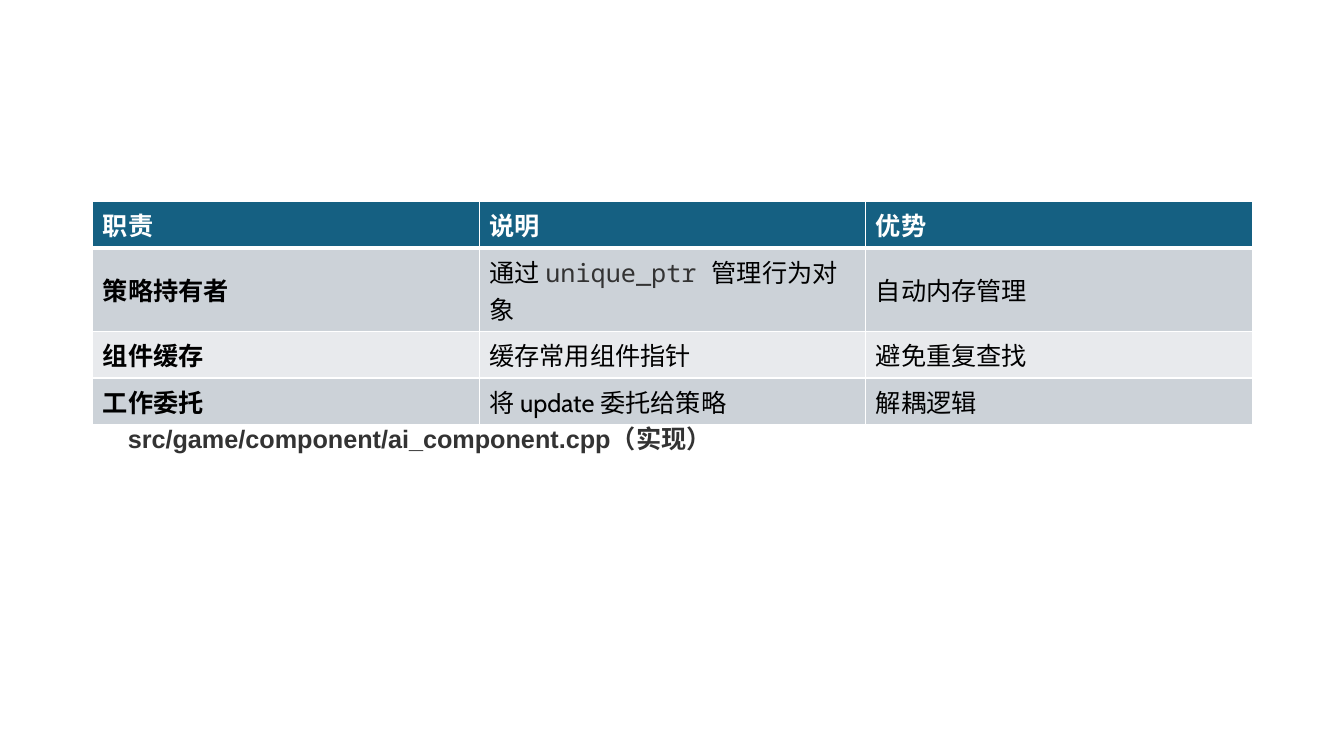
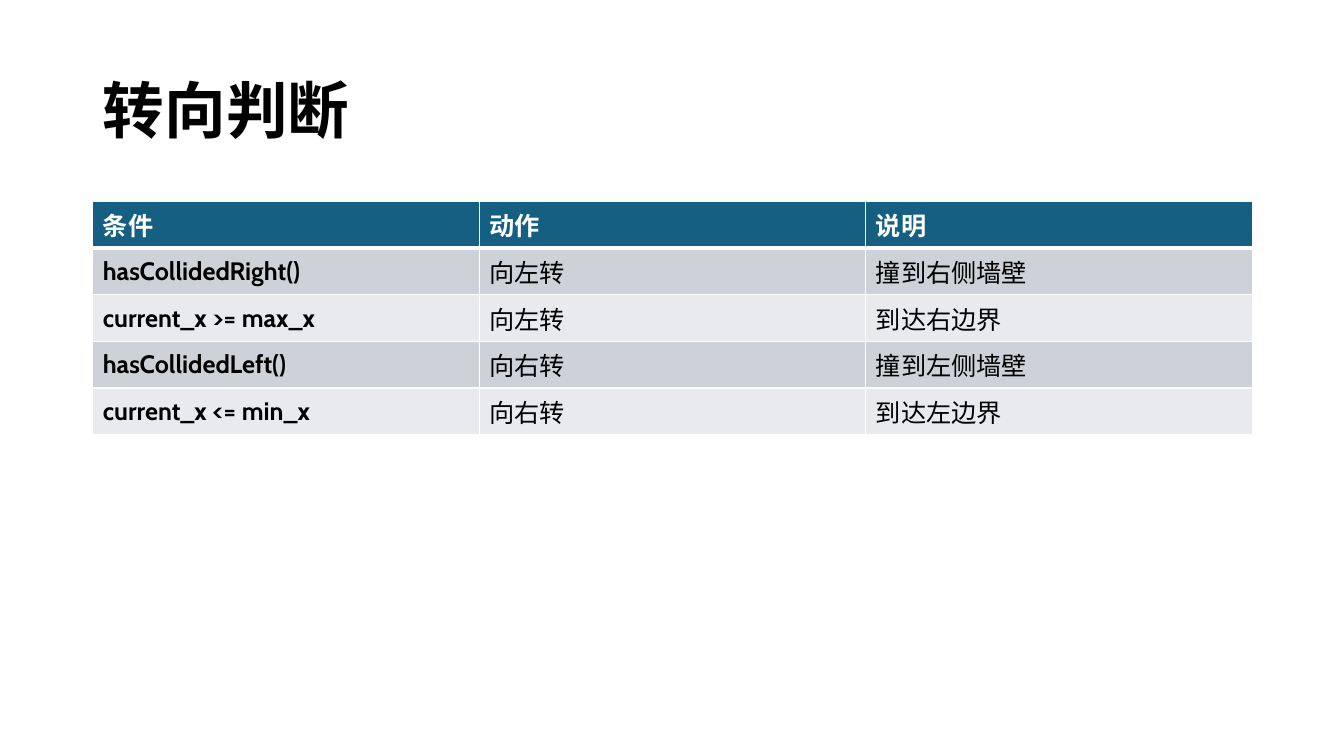
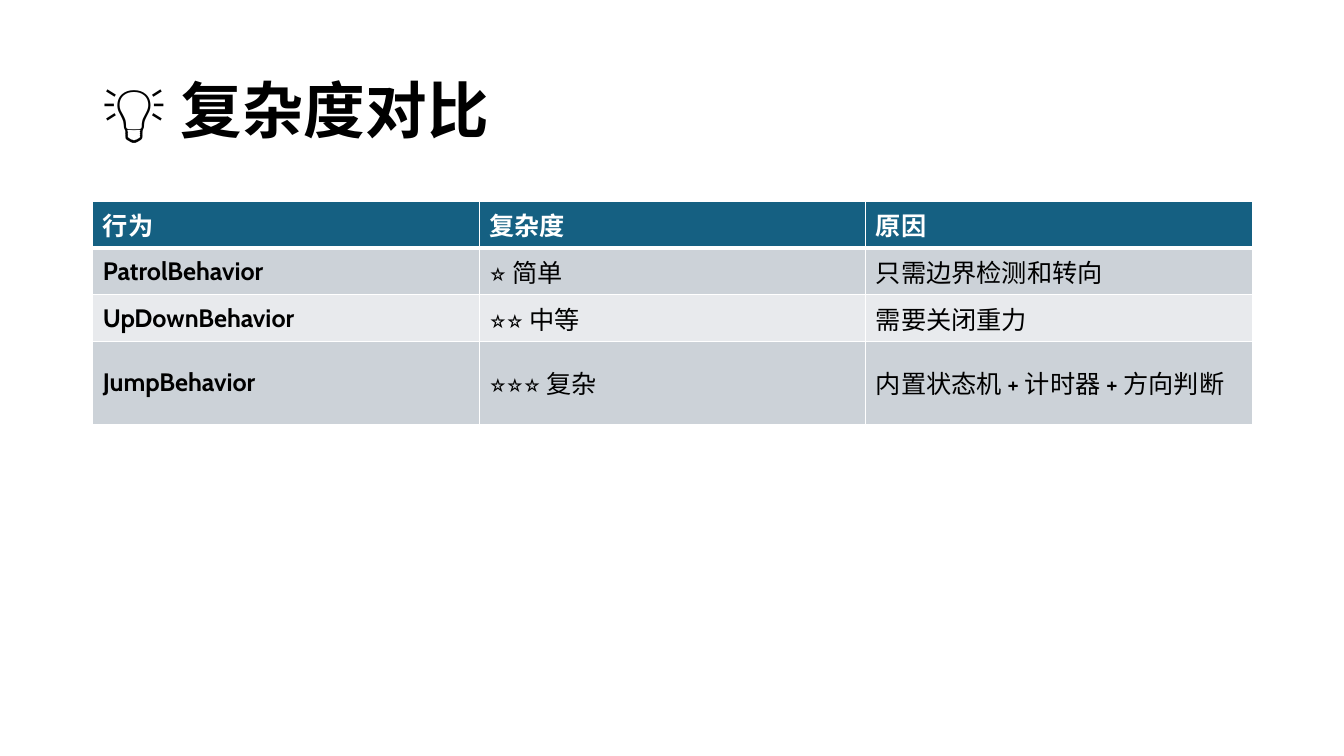
import pptx
import pptx.dml.color
import pptx.enum.lang
import pptx.enum.text
import pptx.oxml
import pptx.oxml.ns
import pptx.util

COLORS = {
    "header": "156082",
    "band_dark": "CCD2D8",
    "band_light": "E8EAED",
    "white": "FFFFFF",
    "black": "000000",
    "code": "333333",
}
FONT, MONO, NOTE_FONT = "Cabin", "Noto Sans Mono", "Arial"
TITLE_ONLY, BLANK = 5, 6
MARGIN = 0.92
COLUMN = 11.5 / 12
ROW = 0.4
TABLE_ROW = 0.41


def rgb(name):
    return pptx.dml.color.RGBColor.from_string(COLORS[name])


class Deck:
    """Holds the presentation, its style and the current page."""

    def __init__(self):
        self.file = pptx.Presentation()
        self.file.slide_width = pptx.util.Inches(13.33)
        self.file.slide_height = pptx.util.Inches(7.5)
        self.page = None

    def place(self, column, row, columns, rows):
        """Turn grid units into left, top, width and height."""
        lengths = (MARGIN + column * COLUMN, row * ROW, columns * COLUMN, rows * ROW)
        return [pptx.util.Inches(length) for length in lengths]

    def add_page(self, title=None):
        layout = self.file.slide_layouts[TITLE_ONLY if title else BLANK]
        self.page = self.file.slides.add_slide(layout)
        if title:
            box = self.page.shapes.title
            box.left, box.top, box.width, box.height = self.place(0, 1, 12, 3.62)
            frame = box.text_frame
            frame.auto_size = pptx.enum.text.MSO_AUTO_SIZE.NONE
            frame.vertical_anchor = pptx.enum.text.MSO_ANCHOR.MIDDLE
            para = frame.paragraphs[0]
            para.line_spacing = 0.9
            self.add_span(para, title, size=44, bold=True)

    def add_span(self, para, text, size=18, color="black", bold=False, font=FONT):
        para.alignment = pptx.enum.text.PP_ALIGN.LEFT
        span = para.add_run()
        span.text = text
        span.font.name = font
        span.font.size = pptx.util.Pt(size)
        span.font.bold = bold
        span.font.color.rgb = rgb(color)
        span.font.language_id = pptx.enum.lang.MSO_LANGUAGE_ID.SIMPLIFIED_CHINESE

    def add_borders(self, cell, top, bottom):
        """Draw white borders; top and bottom widths are in points."""
        properties = cell._tc.get_or_add_tcPr()
        for side, width in (("L", 1), ("R", 1), ("T", top), ("B", bottom)):
            properties.append(pptx.oxml.parse_xml(
                f'<a:ln{side} {pptx.oxml.ns.nsdecls("a")} w="{pptx.util.Pt(width)}">'
                f'<a:solidFill><a:srgbClr val="{COLORS["white"]}"/></a:solidFill>'
                f'</a:ln{side}>'))

    def add_table(self, rows):
        """Add a banded table; a cell is a text or a list of (text, style) spans."""
        area = self.place(0, 5, 12, len(rows) * TABLE_ROW / ROW)
        table = self.page.shapes.add_table(len(rows), len(rows[0]), *area).table
        for row_index, row in enumerate(rows):
            header = row_index == 0
            band = "band_dark" if row_index % 2 else "band_light"
            for column_index, content in enumerate(row):
                cell = table.cell(row_index, column_index)
                self.add_borders(cell, 3 if row_index == 1 else 1, 3 if header else 1)
                cell.fill.solid()
                cell.fill.fore_color.rgb = rgb("header" if header else band)
                cell.vertical_anchor = pptx.enum.text.MSO_ANCHOR.MIDDLE
                base = {"color": "white" if header else "black",
                        "bold": header or column_index == 0}
                spans = [(content, {})] if isinstance(content, str) else content
                for text, style in spans:
                    self.add_span(cell.text_frame.paragraphs[0], text, **{**base, **style})

    def add_note(self, text, area):
        box = self.page.shapes.add_textbox(*self.place(*area))
        box.text_frame.word_wrap = True
        box.text_frame.auto_size = pptx.enum.text.MSO_AUTO_SIZE.SHAPE_TO_FIT_TEXT
        self.add_span(box.text_frame.paragraphs[0], text,
                      color="code", bold=True, font=NOTE_FONT)


def main():
    deck = Deck()

    deck.add_page()
    deck.add_table([
        ("职责", "说明", "优势"),
        ("策略持有者",
         [("通过 ", {}),
          ("unique_ptr ", {"font": MONO, "color": "code"}),
          ("管理行为对象", {})],
         "自动内存管理"),
        ("组件缓存", "缓存常用组件指针", "避免重复查找"),
        ("工作委托", "将 update 委托给策略", "解耦逻辑"),
    ])
    deck.add_note("src/game/component/ai_component.cpp（实现）", (0.26, 10.38, 6.96, 1))

    deck.add_page("转向判断")
    deck.add_table([
        ("条件", "动作", "说明"),
        ("hasCollidedRight()", "向左转", "撞到右侧墙壁"),
        ("current_x >= max_x", "向左转", "到达右边界"),
        ("hasCollidedLeft()", "向右转", "撞到左侧墙壁"),
        ("current_x <= min_x", "向右转", "到达左边界"),
    ])

    deck.add_page("💡 复杂度对比")
    deck.add_table([
        ("行为", "复杂度", "原因"),
        ("PatrolBehavior", "⭐ 简单", "只需边界检测和转向"),
        ("UpDownBehavior", "⭐⭐ 中等", "需要关闭重力"),
        ("JumpBehavior", "⭐⭐⭐ 复杂", "内置状态机 + 计时器 + 方向判断"),
    ])

    deck.file.save("out.pptx")


if __name__ == "__main__":
    main()
